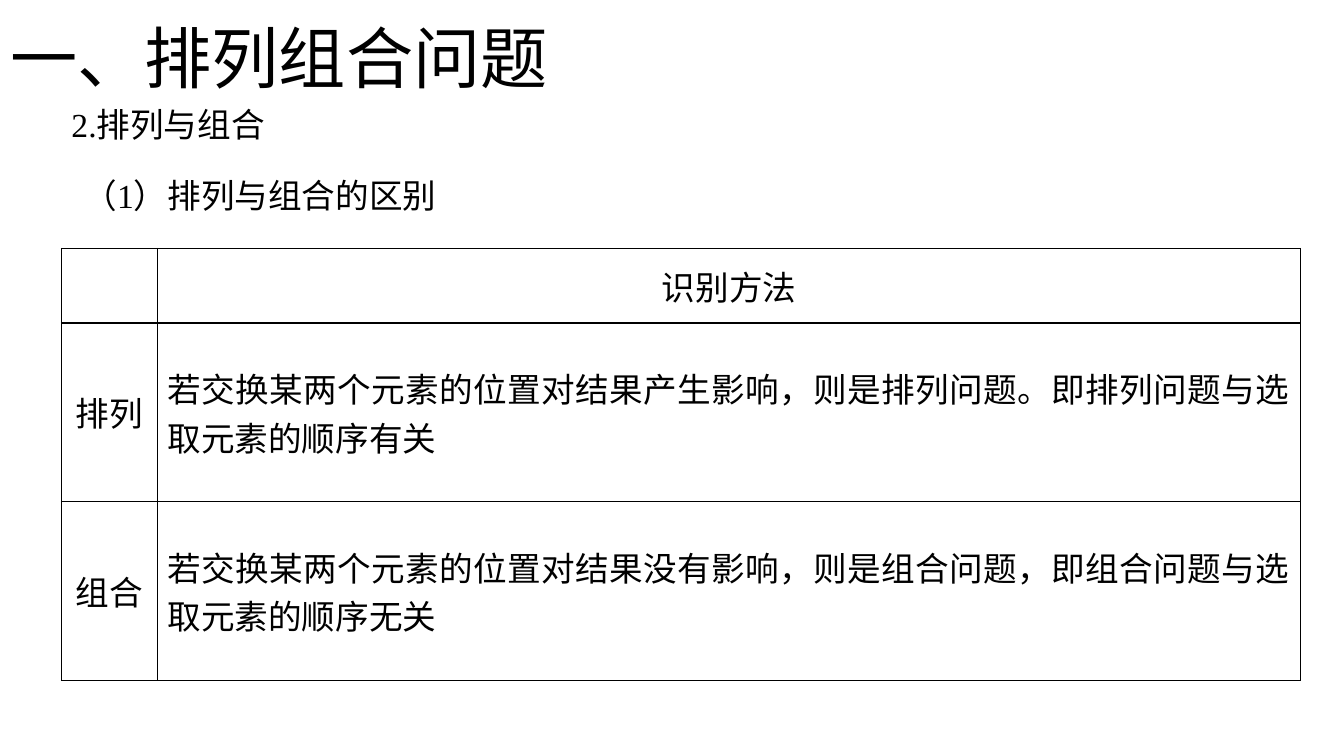
from lxml import etree
from pptx import Presentation
from pptx.dml.color import RGBColor
from pptx.enum.text import MSO_ANCHOR, MSO_AUTO_SIZE, PP_ALIGN
from pptx.oxml.ns import qn
from pptx.util import Pt

BLACK = RGBColor(0x00, 0x00, 0x00)
WHITE = RGBColor(0xFF, 0xFF, 0xFF)
LEFT, CENTER, JUSTIFY = PP_ALIGN.LEFT, PP_ALIGN.CENTER, PP_ALIGN.JUSTIFY
TOP, MIDDLE, BOTTOM = MSO_ANCHOR.TOP, MSO_ANCHOR.MIDDLE, MSO_ANCHOR.BOTTOM
NO_AUTOFIT = MSO_AUTO_SIZE.NONE
TITLE_ONLY = 5


class SlideBuilder:
    heading_font = "Calibri"
    body_font = "Times New Roman"
    title_size = 48
    body_size = 24
    border_width = 1

    def __init__(self, prs):
        self.s = prs.slides.add_slide(prs.slide_layouts[TITLE_ONLY])

    def set_text(self, tf, text, font, size, align=LEFT, spacing=None, before=0):
        tf.text = text
        p = tf.paragraphs[0]
        p.alignment = align
        p.space_before = Pt(before)
        if spacing:
            p.line_spacing = spacing
        for r in p.runs:
            r.font.name = font
            r.font.size = Pt(size)
            r.font.bold = False
            r.font.color.rgb = BLACK

    def frame(self, sp, anchor):
        tf = sp.text_frame
        tf.word_wrap = True
        tf.auto_size = NO_AUTOFIT
        tf.vertical_anchor = anchor
        return tf

    def title(self, text, x, y, w, h):
        sp = self.s.shapes.title
        sp.left, sp.top, sp.width, sp.height = Pt(x), Pt(y), Pt(w), Pt(h)
        self.set_text(self.frame(sp, BOTTOM), text, self.heading_font,
                      self.title_size, spacing=0.9)

    def text(self, text, x, y, w, h, spacing):
        sp = self.s.shapes.add_textbox(Pt(x), Pt(y), Pt(w), Pt(h))
        self.set_text(self.frame(sp, TOP), text, self.body_font,
                      self.body_size, spacing=spacing, before=10)

    def border(self, cell):
        tcPr = cell._tc.get_or_add_tcPr()
        for side in ("a:lnL", "a:lnR", "a:lnT", "a:lnB"):
            ln = etree.SubElement(tcPr, qn(side), w=str(Pt(self.border_width)))
            fill = etree.SubElement(ln, qn("a:solidFill"))
            etree.SubElement(fill, qn("a:srgbClr"), val=str(BLACK))

    def table(self, rows, x, y, widths, heights):
        tbl = self.s.shapes.add_table(
            len(rows), len(widths), Pt(x), Pt(y),
            Pt(sum(widths)), Pt(sum(heights))).table
        tbl.first_row = False
        tbl.horz_banding = False
        for col, width in zip(tbl.columns, widths):
            col.width = Pt(width)
        for row, height in zip(tbl.rows, heights):
            row.height = Pt(height)
        for i, row in enumerate(rows):
            for j, text in enumerate(row):
                cell = tbl.cell(i, j)
                cell.vertical_anchor = MIDDLE
                self.border(cell)
                cell.fill.solid()
                cell.fill.fore_color.rgb = WHITE
                align = JUSTIFY if i and j else CENTER
                self.set_text(cell.text_frame, text, self.heading_font,
                              self.body_size, align)


def main():
    prs = Presentation()
    prs.slide_width, prs.slide_height = Pt(960), Pt(540)
    slide = SlideBuilder(prs)
    slide.title("一、排列组合问题", 0, 15, 733, 59)
    slide.text("2.排列与组合", 44, 74, 808, 33, 0.9)
    slide.text("（1）排列与组合的区别", 52.5, 107, 832, 53, 1.5)
    slide.table(
        [("", "识别方法"),
         ("排列", "若交换某两个元素的位置对结果产生影响，则是排列问题。即排列问题与选取元素的顺序有关"),
         ("组合", "若交换某两个元素的位置对结果没有影响，则是组合问题，即组合问题与选取元素的顺序无关")],
        44, 177.5, [68.5, 816.5], [53.2, 127.6, 127.6])
    prs.save("out.pptx")


if __name__ == "__main__":
    main()
